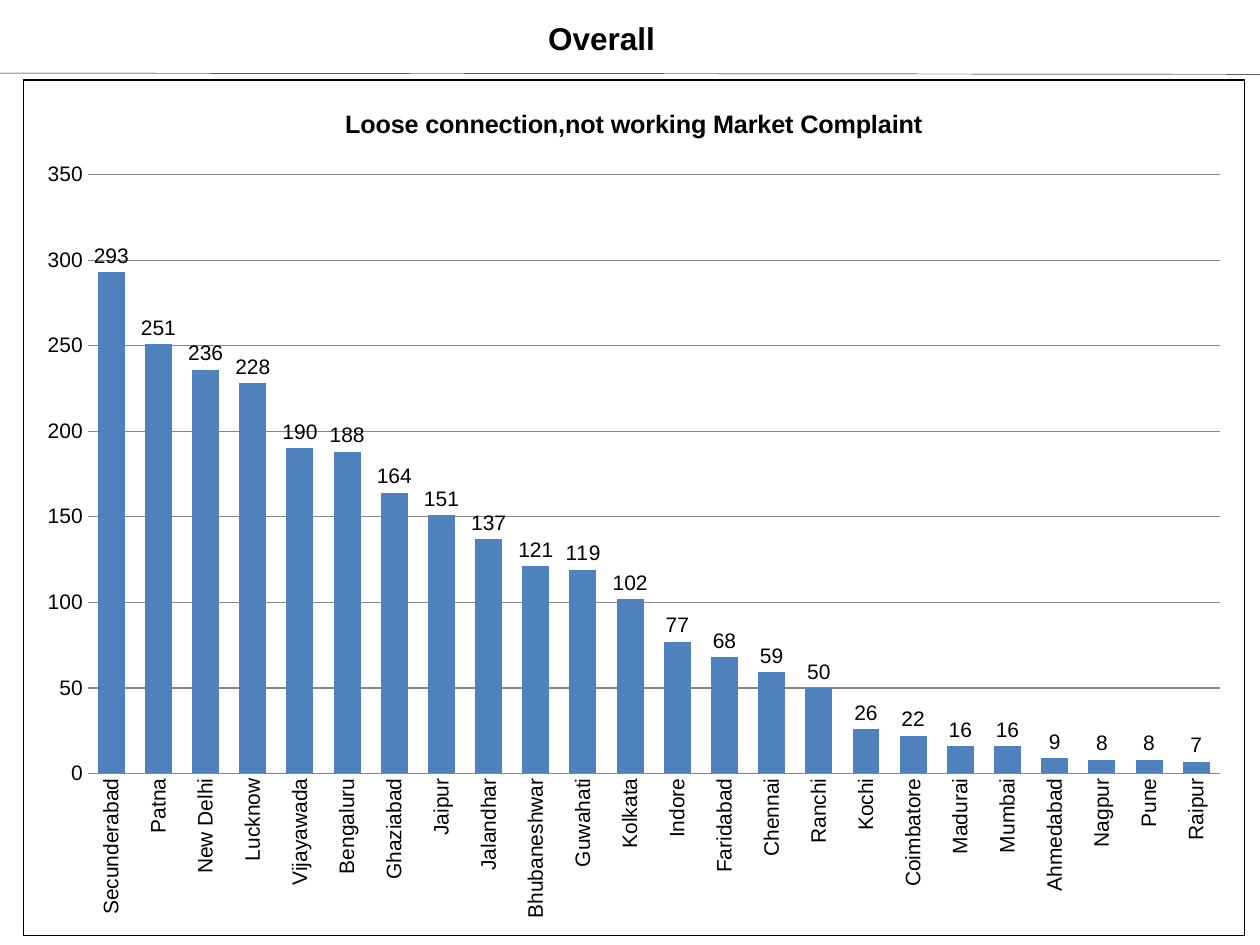
from typing import NamedTuple

from lxml import etree
from pptx import Presentation
from pptx.chart.data import CategoryChartData
from pptx.dml.color import RGBColor
from pptx.enum import chart as ch, shapes, text
from pptx.oxml import ns, parse_xml
from pptx.util import Inches, Pt

BLACK = RGBColor(0x00, 0x00, 0x00)
BAR_BLUE = RGBColor(0x4F, 0x81, 0xBD)
GRID_GREY = RGBColor(0x86, 0x86, 0x86)
FONT = "Arial"


class Complaint(NamedTuple):
    city: str
    count: int


COMPLAINTS = [
    Complaint("Secunderabad", 293),
    Complaint("Patna", 251),
    Complaint("New Delhi", 236),
    Complaint("Lucknow", 228),
    Complaint("Vijayawada", 190),
    Complaint("Bengaluru", 188),
    Complaint("Ghaziabad", 164),
    Complaint("Jaipur", 151),
    Complaint("Jalandhar", 137),
    Complaint("Bhubaneshwar", 121),
    Complaint("Guwahati", 119),
    Complaint("Kolkata", 102),
    Complaint("Indore", 77),
    Complaint("Faridabad", 68),
    Complaint("Chennai", 59),
    Complaint("Ranchi", 50),
    Complaint("Kochi", 26),
    Complaint("Coimbatore", 22),
    Complaint("Madurai", 16),
    Complaint("Mumbai", 16),
    Complaint("Ahmedabad", 9),
    Complaint("Nagpur", 8),
    Complaint("Pune", 8),
    Complaint("Raipur", 7),
]


def style_font(font, size: float, bold: bool = False) -> None:
    font.name = FONT
    font.size = Pt(size)
    font.bold = bold
    font.color.rgb = BLACK


def style_line(line, color: RGBColor, width: float) -> None:
    line.color.rgb = color
    line.width = Pt(width)


def add_heading(slide, wording: str) -> None:
    heading = slide.shapes.title
    heading.left, heading.top = Inches(4.25), Inches(0.1)
    heading.width, heading.height = Inches(1.13), Inches(0.4)
    frame = heading.text_frame
    frame.word_wrap = False
    frame.auto_size = text.MSO_AUTO_SIZE.SHAPE_TO_FIT_TEXT
    frame.vertical_anchor = text.MSO_ANCHOR.TOP
    paragraph = frame.paragraphs[0]
    paragraph.alignment = text.PP_ALIGN.LEFT
    run = paragraph.add_run()
    run.text = wording
    style_font(run.font, 18, bold=True)


def add_divider(slide) -> None:
    divider = slide.shapes.add_connector(
        shapes.MSO_CONNECTOR.STRAIGHT, 0, Inches(0.58), Inches(10), Inches(0.59)
    )
    style_line(divider.line, BLACK, 0.25)
    etree.SubElement(divider._element.spPr, ns.qn("a:effectLst"))


def add_border(chart, color: RGBColor, width: float) -> None:
    border = parse_xml(
        f'<c:spPr {ns.nsdecls("c", "a")}><a:noFill/><a:ln w="{Pt(width)}">'
        f'<a:solidFill><a:srgbClr val="{color}"/></a:solidFill></a:ln></c:spPr>'
    )
    chart._chartSpace.find(ns.qn("c:chart")).addnext(border)


def add_complaint_chart(slide, title: str, complaints: list[Complaint]) -> None:
    data = CategoryChartData()
    data.categories = [complaint.city for complaint in complaints]
    data.add_series("Series 1", [complaint.count for complaint in complaints])
    chart = slide.shapes.add_chart(
        ch.XL_CHART_TYPE.COLUMN_CLUSTERED,
        Inches(0.18), Inches(0.63), Inches(9.7), Inches(6.8), data,
    ).chart
    style_font(chart.font, 12)
    chart.has_legend = False
    add_border(chart, BLACK, 0.75)

    chart.has_title = True
    run = chart.chart_title.text_frame.paragraphs[0].add_run()
    run.text = title
    style_font(run.font, 14.4, bold=True)
    chart.chart_title.include_in_layout = False

    plot = chart.plots[0]
    plot.gap_width = 75
    plot.overlap = -25
    plot.vary_by_categories = False
    bars = plot.series[0]
    bars.format.fill.solid()
    bars.format.fill.fore_color.rgb = BAR_BLUE
    labels = bars.data_labels
    labels.show_value = True
    labels.position = ch.XL_LABEL_POSITION.OUTSIDE_END
    style_font(labels.font, 12)

    cities, counts = chart.category_axis, chart.value_axis
    for axis in (cities, counts):
        axis.major_tick_mark = ch.XL_TICK_MARK.NONE
        axis.minor_tick_mark = ch.XL_TICK_MARK.NONE
        style_font(axis.tick_labels.font, 12)
    style_line(cities.format.line, GRID_GREY, 0.75)
    city_text = cities._element.find(ns.qn("c:txPr")).find(ns.qn("a:bodyPr"))
    city_text.set("rot", "-5400000")
    city_text.set("vert", "horz")

    counts.minimum_scale, counts.maximum_scale = 0, 350
    counts.major_unit = 50
    counts.format.line.fill.background()
    counts.has_major_gridlines = True
    style_line(counts.major_gridlines.format.line, GRID_GREY, 0.75)


def main() -> None:
    deck = Presentation()
    deck.slide_width, deck.slide_height = Inches(10), Inches(7.5)
    slide = deck.slides.add_slide(deck.slide_layouts[5])
    add_divider(slide)
    add_heading(slide, "Overall")
    add_complaint_chart(
        slide, "Loose connection,not working Market Complaint", COMPLAINTS
    )
    deck.save("out.pptx")


if __name__ == "__main__":
    main()
